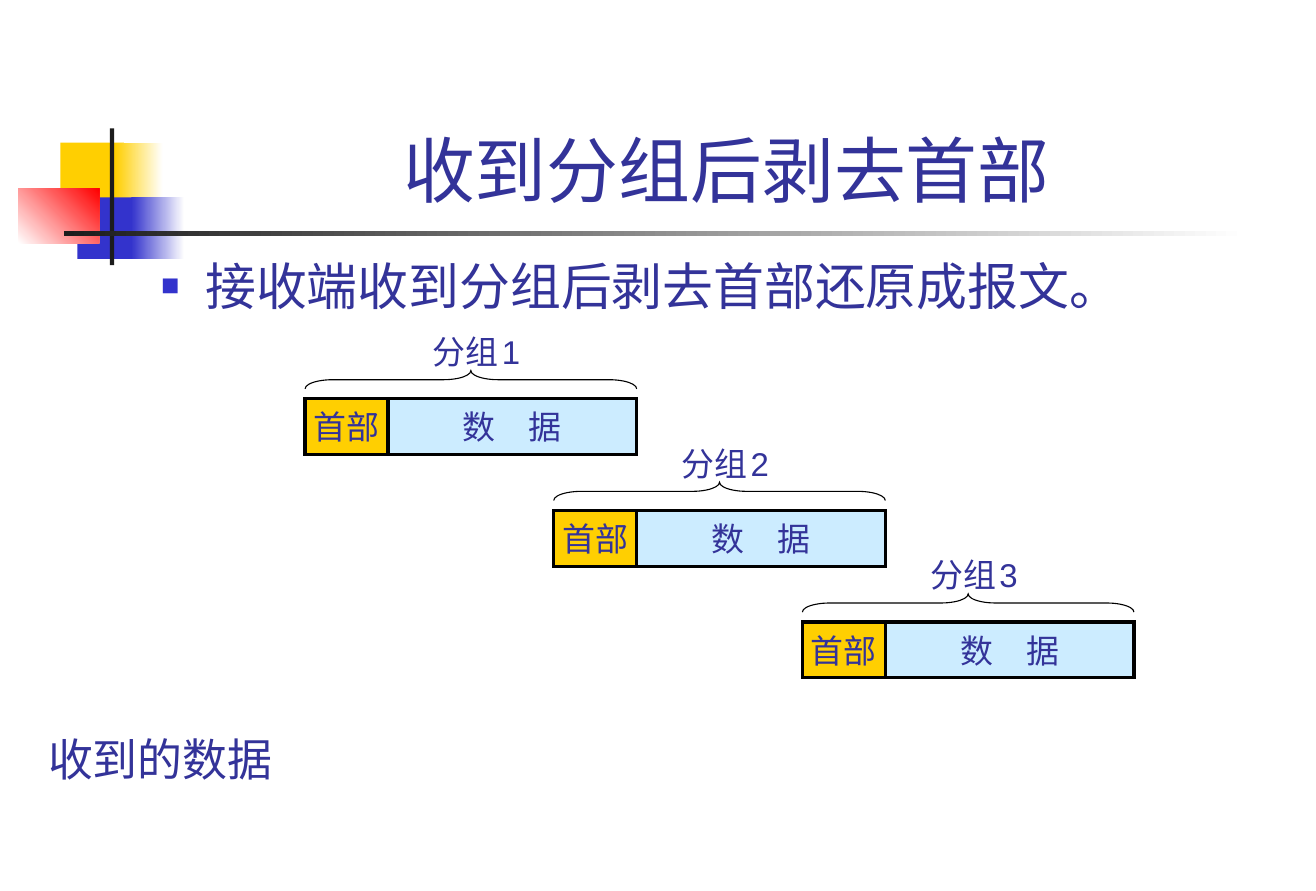
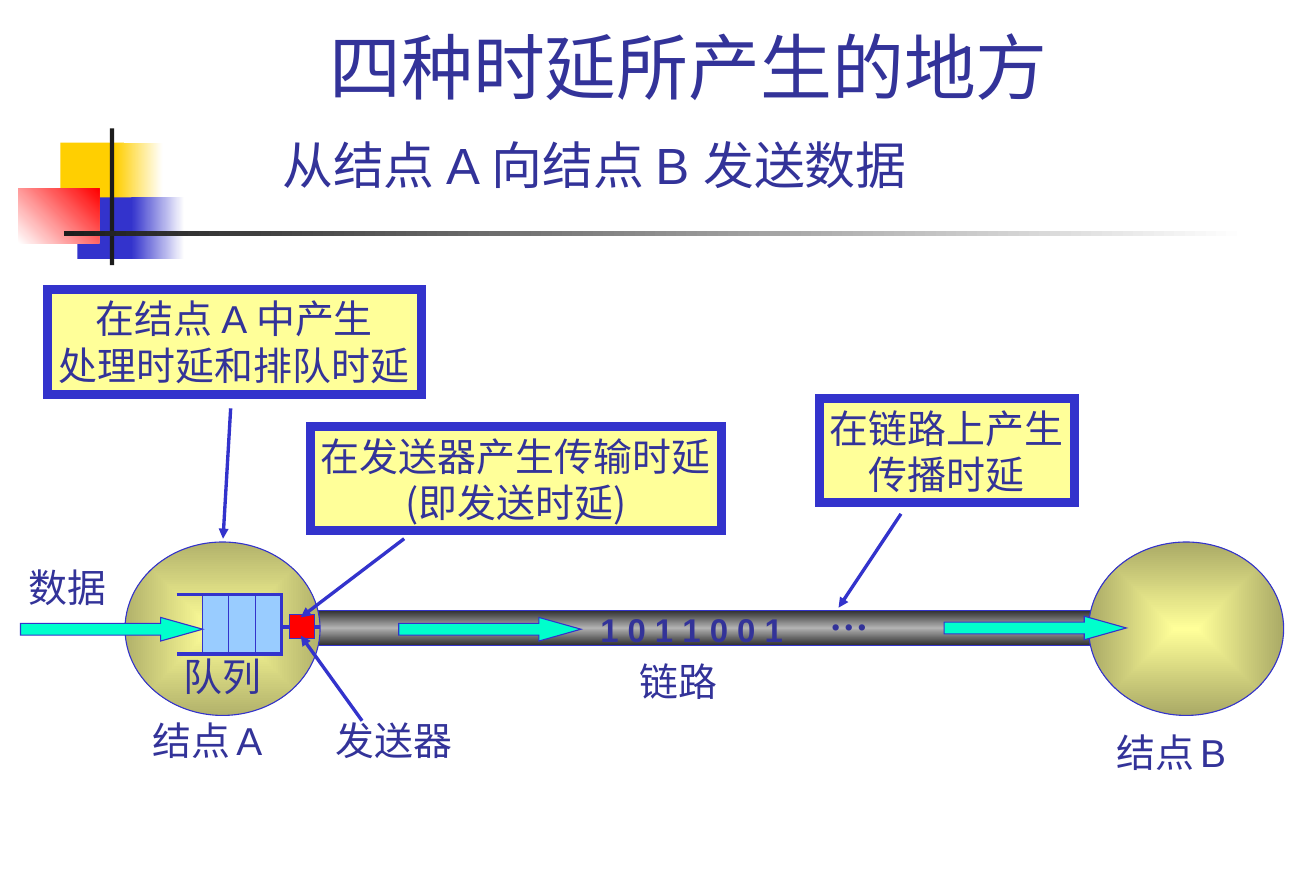
from dataclasses import dataclass

import pptx
import pptx.dml.color
import pptx.enum.shapes
import pptx.enum.text
import pptx.oxml
import pptx.oxml.ns
import pptx.util
from lxml import etree

Pt = pptx.util.Pt
qn = pptx.oxml.ns.qn
Kind = pptx.enum.shapes.MSO_SHAPE
Align = pptx.enum.text.PP_ALIGN
Anchor = pptx.enum.text.MSO_ANCHOR


@dataclass(frozen=True)
class Theme:
    ink: str = "333399"
    blue: str = "3333CC"
    yellow: str = "FFCF01"
    red: str = "FF0000"
    charcoal: str = "1C1C1C"
    white: str = "FFFFFF"
    black: str = "000000"
    pale_blue: str = "CCECFF"
    cell_blue: str = "99CCFF"
    pale_yellow: str = "FFFF99"
    turquoise: str = "00FFCC"
    sans: str = "Arial"
    packet_font: str = "Cabin"
    label_font: str = "Times New Roman"
    callout_font: str = "Noto Sans CJK SC"
    title: int = 48
    body: int = 34
    received: int = 30
    label: int = 26
    packet: int = 22


T = Theme()

# Boxes are left, top, width, height in points.
SLIDE_SIZE = (879.12, 595.44)
EMBLEM = [
    ((40.3, 95.3, 42.5, 41), T.yellow),
    ((77, 95.3, 31.7, 41), ([(0, T.yellow), (100, T.white)], 0)),
    ((51.8, 132, 40.3, 41), T.blue),
    ((87.8, 132, 35.3, 41), ([(0, T.blue), (100, T.white)], 0)),
    ((12.2, 126, 54, 36.5), ([(0, T.white), (100, T.red)], 315)),
    ((73.4, 85.9, 2.9, 91.4), T.charcoal),
    ((42.5, 154.4, 790.6, 3.2), ([(0, T.charcoal), (100, T.white)], 0)),
]

PACKET_COUNT = 3
PACKET_START = (203.8, 266.4)
PACKET_STEP = (166.1, 74.6)
HEADER_WIDTH, DATA_WIDTH, PACKET_HEIGHT = 55.4, 166.1, 37.4
BRACE_HEIGHT = 12.2

LINK = (205.2, 408.2, 530.6, 23)
NODES = [((83.5, 362.2, 130.3, 115.9), "B2B26B"),
         ((727.2, 362.2, 130.3, 115.9), "AAAA66")]
QUEUE = (135.4, 397.4, 52.5, 39.6)
QUEUE_CELLS = 3
QUEUE_INLET = 17.3
SENDER = (193.7, 410.4, 16.6, 16.6)
SENDER_WIRE = ((187.2, 419), (213.8, 419))
FLOW_ARROWS = [(266.4, 412.6), (13.7, 412.6), (630.7, 411.8)]
FLOW_SIZE = (121.7, 15.8)
CALLOUTS = [
    ((547.2, 266.4, 170.6, 69.8), ["在链路上产生", "传播时延"]),
    ((207.4, 285.1, 274.3, 69.8), ["在发送器产生传输时延", "(即发送时延)"]),
    ((31.7, 193.3, 249.8, 70.3),
     [[("在结点 ", {}), ("A ", {"font": T.sans}), ("中产生", {})],
      "处理时延和排队时延"]),
]
POINTERS = [((601.9, 343.4), (560.2, 406.1)), ((270, 360), (200.9, 412.6)),
            ((241.9, 481.7), (200.9, 424.8)), ((154.1, 272.9), (149, 360))]


def spaced(word, mark, gap_size):
    """A word and a mark with a narrow space between them."""
    return [(word, {}), (" ", {"size": gap_size, "font": T.sans}),
            (mark, {"font": T.sans})]


LABELS = [
    ((216.7, 475.2, 93.6, 38.9), "发送器"),
    ((115.2, 432.7, 67.7, 38.9), "队列"),
    ((738, 483.1, 98.6, 38.9), spaced("结点", "B", 18)),
    ((94.3, 475.2, 98.6, 38.9), spaced("结点", "A", 18)),
    ((11.5, 373, 67.7, 38.9), "数据"),
    ((419.8, 435.6, 67.7, 38.9), "链路"),
]


def rgb(value):
    return pptx.dml.color.RGBColor.from_string(value)


def points(values):
    return [Pt(value) for value in values]


def paint(shape, fill=None, line=None, width=0.75):
    """fill is a colour, or (stops, angle); angle None means from the centre."""
    shape.shadow.inherit = False
    if fill is None:
        shape.fill.background()
    elif isinstance(fill, str):
        shape.fill.solid()
        shape.fill.fore_color.rgb = rgb(fill)
    else:
        paint_gradient(shape, *fill)
    if line:
        shape.line.color.rgb = rgb(line)
        shape.line.width = Pt(width)
        etree.SubElement(shape.line._get_or_add_ln(), qn("a:miter"), lim="800000")
    else:
        shape.line.fill.background()


def paint_gradient(shape, stops, angle):
    shape.fill.gradient()
    gradient = shape._element.spPr.find(qn("a:gradFill"))
    for child in list(gradient):
        gradient.remove(child)
    stop_list = etree.SubElement(gradient, qn("a:gsLst"))
    for position, colour in stops:
        stop = etree.SubElement(stop_list, qn("a:gs"), pos=str(position * 1000))
        etree.SubElement(stop, qn("a:srgbClr"), val=colour)
    if angle is None:
        centre = etree.SubElement(gradient, qn("a:path"))
        centre.set("path", "rect")
        etree.SubElement(centre, qn("a:fillToRect"),
                         l="50000", t="50000", r="50000", b="50000")
    else:
        etree.SubElement(gradient, qn("a:lin"), ang=str(angle * 60000), scaled="0")


def add_shape(page, box, fill=None, line=None, width=0.75, kind=Kind.RECTANGLE):
    shape = page.shapes.add_shape(kind, *points(box))
    paint(shape, fill, line, width)
    return shape


def add_line(page, start, end, width=0.75, arrow=False):
    line = page.shapes.add_connector(
        pptx.enum.shapes.MSO_CONNECTOR.STRAIGHT, *points(start + end))
    line.line.color.rgb = rgb(T.blue)
    line.line.width = Pt(width)
    if arrow:
        etree.SubElement(line.line._get_or_add_ln(), qn("a:tailEnd"), type="triangle")
    etree.SubElement(line._element.spPr, qn("a:effectLst"))


def write(shape, paragraphs, size, font, align=Align.LEFT, anchor=Anchor.TOP,
          wrap=False, fit=False, bold=False, side=7.6):
    """A paragraph is a string, or a list of (text, size and font changes)."""
    frame = shape.text_frame
    frame.word_wrap = wrap
    frame.vertical_anchor = anchor
    frame.margin_left = frame.margin_right = Pt(side)
    frame.margin_top = frame.margin_bottom = Pt(3.7)
    if fit:
        frame.auto_size = pptx.enum.text.MSO_AUTO_SIZE.SHAPE_TO_FIT_TEXT
    for index, content in enumerate(paragraphs):
        para = frame.paragraphs[0] if index == 0 else frame.add_paragraph()
        para.alignment = align
        for text, changes in [(content, {})] if isinstance(content, str) else content:
            span = para.add_run()
            span.text = text
            span.font.size = Pt(changes.get("size", size))
            span.font.name = changes.get("font", font)
            span.font.bold = bold
            span.font.color.rgb = rgb(T.ink)
    return frame


def add_text(page, box, content, size, font, **options):
    return write(page.shapes.add_textbox(*points(box)), [content], size, font, **options)


def add_page(deck, title, title_box):
    page = deck.slides.add_slide(deck.slide_layouts[6])
    for box, fill in EMBLEM:
        add_shape(page, box, fill)
    add_text(page, title_box, title, T.title, T.sans,
             align=Align.CENTER, anchor=Anchor.BOTTOM, wrap=True)
    return page


def add_square_bullet(para, indent):
    properties = para._p.get_or_add_pPr()
    properties.set("marL", str(Pt(indent)))
    properties.set("indent", str(-Pt(indent)))
    colour = etree.SubElement(properties, qn("a:buClr"))
    etree.SubElement(colour, qn("a:srgbClr"), val=T.blue)
    etree.SubElement(properties, qn("a:buSzPct"), val="60000")
    etree.SubElement(properties, qn("a:buFont"), typeface=T.sans)
    etree.SubElement(properties, qn("a:buChar"), char="■")


def add_packet(page, number, left, top):
    parts = [("数　据", left + HEADER_WIDTH, DATA_WIDTH, T.pale_blue),
             ("首部", left, HEADER_WIDTH, T.yellow)]
    for text, part_left, width, fill in parts:
        part = add_shape(page, (part_left, top, width, PACKET_HEIGHT), fill, T.black, 2.25)
        write(part, [text], T.packet, T.packet_font, Align.CENTER, Anchor.MIDDLE)
    length = HEADER_WIDTH + DATA_WIDTH
    brace_box = (left + (length - BRACE_HEIGHT) / 2, top - 12.6 - length / 2,
                 BRACE_HEIGHT, length)
    brace = add_shape(page, brace_box, None, T.black, kind=Kind.LEFT_BRACE)
    brace.adjustments[0] = 1.5
    brace.rotation = 90
    add_text(page, (left + 77.8, top - 48.5, 77.8, 33.8), spaced("分组", str(number), 10),
             T.packet, T.packet_font, fit=True)


def build_packets(deck):
    page = add_page(deck, "收到分组后剥去首部", (110.9, 18.7, 748.8, 126.7))
    body = add_text(page, (100, 166.3, 754.6, 87.8),
                    "接收端收到分组后剥去首部还原成报文。", T.body, T.sans, wrap=True)
    add_square_bullet(body.paragraphs[0], 29.5)
    for index in range(PACKET_COUNT):
        left, top = (start + index * step for start, step in zip(PACKET_START, PACKET_STEP))
        add_packet(page, index + 1, left, top)
    add_text(page, (24.5, 485.3, 193.7, 43.9), "收到的数据", T.received,
             T.packet_font, wrap=True)


def add_queue(page):
    left, top, width, height = QUEUE
    right, bottom = left + width, top + height
    add_shape(page, QUEUE, T.cell_blue, T.blue)
    inlet = left - QUEUE_INLET
    builder = page.shapes.build_freeform(Pt(inlet), Pt(top))
    builder.add_line_segments(
        [points(spot) for spot in [(right, top), (right, bottom), (inlet, bottom)]],
        close=False)
    paint(builder.convert_to_shape(), None, T.blue, 2.25)
    for index in range(QUEUE_CELLS):
        x = left + index * width / QUEUE_CELLS
        add_line(page, (x, top), (x, bottom))


def build_delays(deck):
    page = add_page(deck, "四种时延所产生的地方", (115.5, 9.6, 689, 67))
    add_shape(page, LINK, ([(0, "313131"), (50, "B2B2B2"), (100, "313131")], 90), T.blue)
    for box, rim in NODES:
        add_shape(page, box, ([(0, T.pale_yellow), (100, rim)], None), T.blue,
                  kind=Kind.OVAL)
    add_queue(page)
    add_line(page, *SENDER_WIRE, 2.25)
    add_shape(page, SENDER, T.red, T.blue)
    for corner in FLOW_ARROWS:
        arrow = add_shape(page, corner + FLOW_SIZE, T.turquoise, T.blue,
                          kind=Kind.RIGHT_ARROW)
        arrow.adjustments[1] = 1.78
    add_text(page, (393.4, 403.5, 137.5, 34.6), "1 0 1 1 0 0 1", T.packet, T.sans,
             fit=True, bold=True)
    add_text(page, (546.5, 391.7, 41.8, 38.9), "…", T.label, T.label_font,
             fit=True, bold=True)
    for box, lines in CALLOUTS:
        callout = add_shape(page, box, T.pale_yellow, T.blue, 6)
        write(callout, lines, T.label, T.callout_font, Align.CENTER, side=2)
    for start, end in POINTERS:
        add_line(page, start, end, 2.25, arrow=True)
    for box, text in LABELS:
        add_text(page, box, text, T.label, T.label_font, fit=True)
    add_text(page, (181, 85.3, 486, 49), "从结点 A 向结点 B 发送数据", T.body, T.sans,
             fit=True)


def main():
    deck = pptx.Presentation()
    deck.slide_width, deck.slide_height = points(SLIDE_SIZE)
    build_packets(deck)
    build_delays(deck)
    deck.save("out.pptx")


if __name__ == "__main__":
    main()
